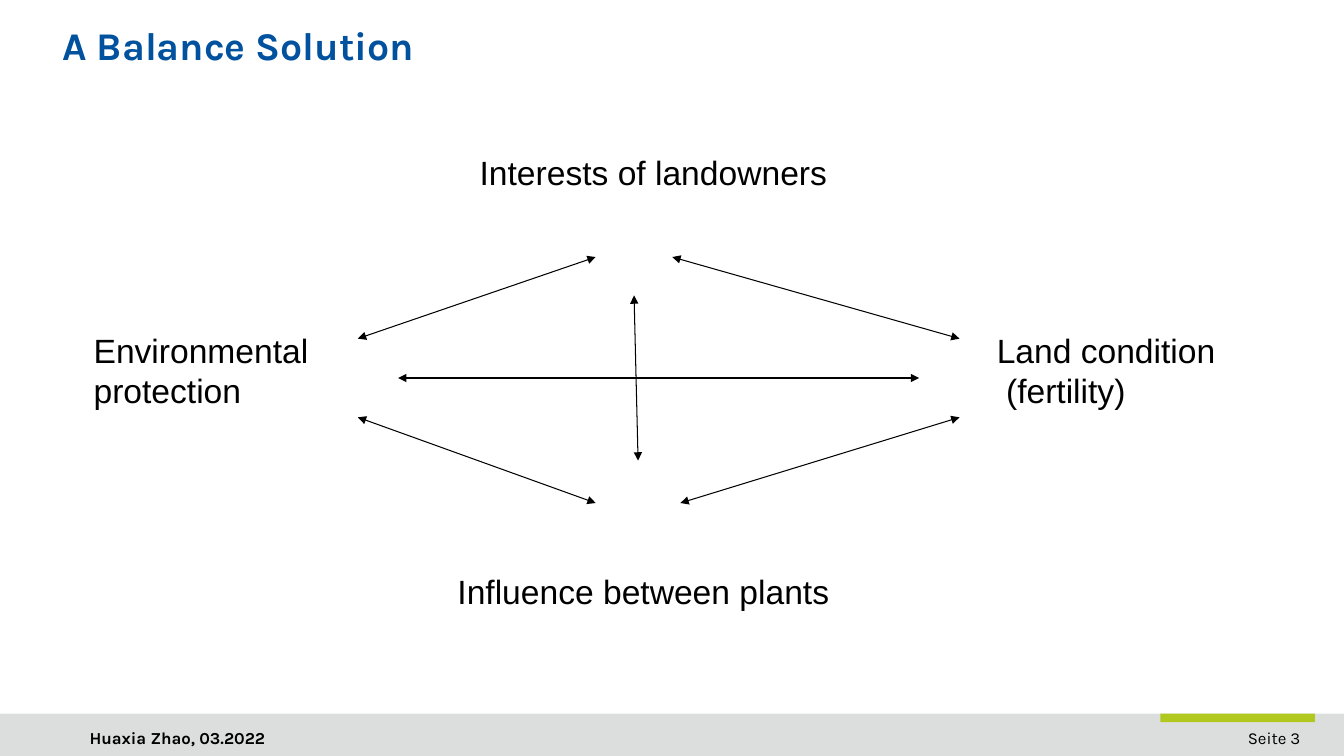
from lxml import etree
from pptx import Presentation
from pptx.dml.color import RGBColor
from pptx.enum.shapes import MSO_CONNECTOR as Connector, MSO_SHAPE as Shape
from pptx.enum.text import MSO_ANCHOR as Anchor, PP_ALIGN as Align
from pptx.oxml.ns import qn
from pptx.util import Pt

# Content
TITLE = "A Balance Solution"
AUTHOR = "Huaxia Zhao, 03.2022"
PAGE = "Seite 3"

# Factors: lines, then left, top, width, height in points
FACTORS = [
    (["Influence between plants"], (319.7, 404.6, 321, 36)),
    (["Interests of landowners"], (335.5, 105.1, 428, 36)),
    (["Environmental protection"], (59.8, 231.8, 255, 65.5)),
    (["Land condition", " (fertility)"], (704.9, 231.8, 178.5, 65.5)),
]

# Arrow ends
LEFT, RIGHT = 255.6, 685.4
UPPER, LOWER = 241.9, 298.1
TOP, BOTTOM = 183.6, 359.3
MIDDLE = 270
BALANCES = [
    ((LEFT, UPPER), (425.5, TOP)),
    ((480.2, TOP), (RIGHT, UPPER)),
    ((284.4, MIDDLE), (656.6, MIDDLE)),
    ((452.9, 211), (455.8, 329)),
    ((LEFT, LOWER), (425.5, BOTTOM)),
    ((486, BOTTOM), (RIGHT, LOWER)),
]

BLACK, BLUE, GREY, GREEN = "000000", "00519E", "DCDEDE", "B1C91F"
WIDTH, HEIGHT = 960, 540
FOOTER_TOP = 509.8


def color(code):
    return RGBColor.from_string(code)


def write(frame, lines, size, face, ink=BLACK, bold=False, align=Align.LEFT):
    frame.word_wrap = True
    frame.vertical_anchor = Anchor.TOP
    for number, line in enumerate(lines):
        paragraph = frame.add_paragraph() if number else frame.paragraphs[0]
        paragraph.alignment = align
        run = paragraph.add_run()
        run.text = line
        run.font.size, run.font.name, run.font.bold = Pt(size), face, bold
        run.font.color.rgb = color(ink)


def add_text(box, lines, size, face, **style):
    area = slide.shapes.add_textbox(*map(Pt, box))
    write(area.text_frame, lines, size, face, **style)


def add_bar(box, fill):
    bar = slide.shapes.add_shape(Shape.RECTANGLE, *map(Pt, box))
    bar.shadow.inherit = False
    bar.fill.solid()
    bar.fill.fore_color.rgb = color(fill)
    bar.line.fill.background()


def add_balance(start, end):
    arrow = slide.shapes.add_connector(Connector.STRAIGHT, *map(Pt, start + end))
    arrow.line.color.rgb = color(BLACK)
    arrow.line.width = Pt(0.75)
    properties = arrow.line._get_or_add_ln()
    for tip in ("a:headEnd", "a:tailEnd"):
        etree.SubElement(properties, qn(tip), type="triangle")
    etree.SubElement(arrow._element.spPr, qn("a:effectLst"))


presentation = Presentation()
presentation.slide_width, presentation.slide_height = Pt(WIDTH), Pt(HEIGHT)
slide = presentation.slides.add_slide(presentation.slide_layouts[5])

# Footer
add_bar((0, FOOTER_TOP, WIDTH, HEIGHT - FOOTER_TOP), GREY)
add_text((748, 516.2, 188, 24), [PAGE], 12, "Karla", align=Align.RIGHT)
add_bar((828.8, FOOTER_TOP, 110.4, 6), GREEN)
add_text((56.9, 516.2, 699, 24), [AUTHOR], 12, "Karla", bold=True)

# Title
title = slide.shapes.title
title.left, title.top, title.width, title.height = map(Pt, (37.4, 18, 776, 65.5))
write(title.text_frame, [TITLE], 28, "Karla", ink=BLUE, bold=True)
title.text_frame.paragraphs[0].line_spacing = 0.8

# Factors and the arrows between them
for lines, box in FACTORS:
    add_text(box, lines, 24, "Arial")
for start, end in BALANCES:
    add_balance(start, end)

presentation.save("out.pptx")
